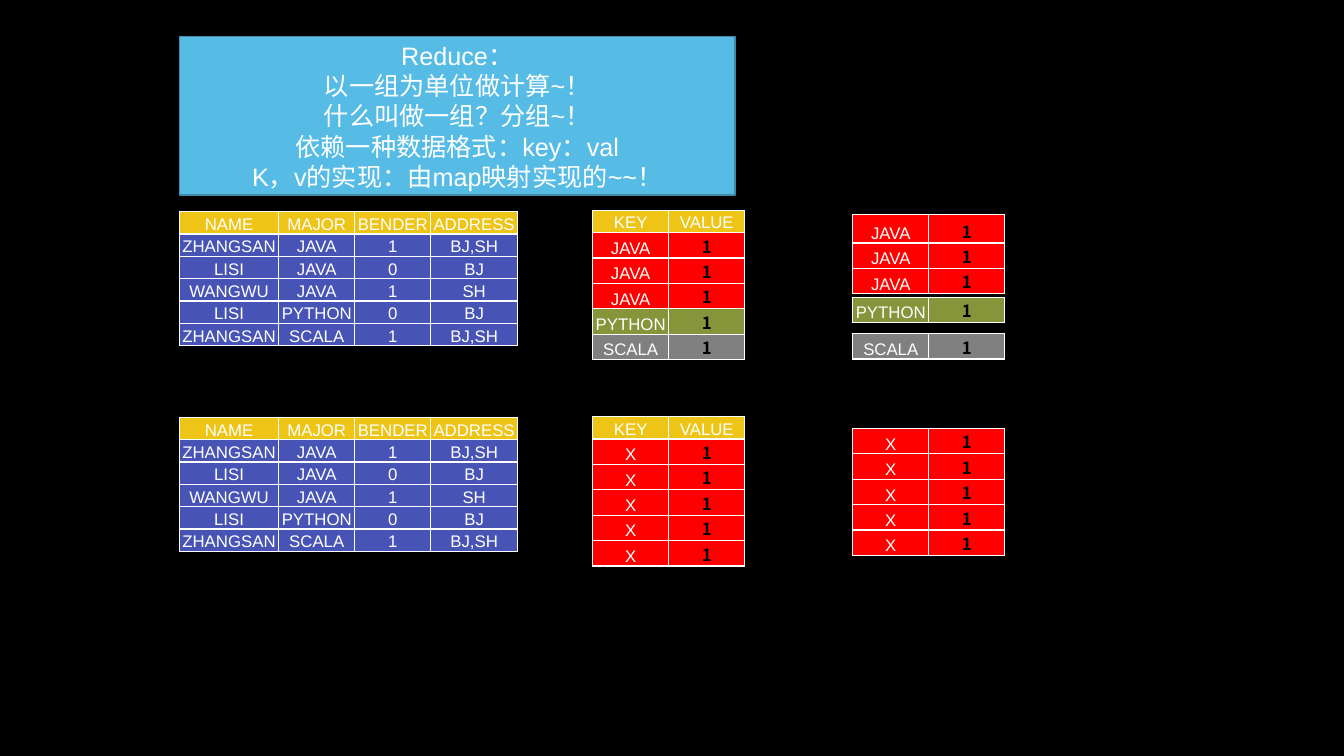
from lxml import etree
from pptx import Presentation
from pptx import util as u
from pptx.dml.color import RGBColor
from pptx.enum import shapes, text
from pptx.oxml.ns import qn

COLORS = {
    "black": "000000", "white": "FFFFFF", "sky": "57BCE5", "edge": "408BA9",
    "gold": "EEC517", "indigo": "4754B5", "red": "FF0000",
    "olive": "87953A", "gray": "808080",
}
LATIN, CJK = "Arial", "Noto Sans CJK SC"
NAME_W, CELL_W, ADDRESS_W = 7.39, 5.66, 6.45
ROW_H = 2.96
PEOPLE_X, PAIR_X, GROUP_X = 13.35, 44.1, 63.45

PEOPLE = [
    ("NAME", "MAJOR", "BENDER", "ADDRESS"),
    ("ZHANGSAN", "JAVA", "1", "BJ,SH"),
    ("LISI", "JAVA", "0", "BJ"),
    ("WANGWU", "JAVA", "1", "SH"),
    ("LISI", "PYTHON", "0", "BJ"),
    ("ZHANGSAN", "SCALA", "1", "BJ,SH"),
]
KEY_FILLS = {"JAVA": "red", "X": "red", "PYTHON": "olive", "SCALA": "gray"}
MAJORS = [row[1] for row in PEOPLE[1:]]
SINGLE_GROUP = ["X"] * len(MAJORS)
REDUCE_NOTES = [
    "Reduce：",
    "以一组为单位做计算~！",
    "什么叫做一组？分组~！",
    "依赖一种数据格式：key：val",
    "K，v的实现：由map映射实现的~~！",
]


def rgb(name):
    return RGBColor.from_string(COLORS[name])


def write(p, words, size=12, font=LATIN, color="white", bold=False):
    p.alignment = text.PP_ALIGN.CENTER
    r = p.add_run()
    r.text = words
    r.font.size, r.font.name, r.font.bold = u.Pt(size), font, bold
    r.font.color.rgb = rgb(color)
    etree.SubElement(r.font._element, qn("a:ea"), typeface=CJK)


class Board:
    """Draws styled elements on one slide, with lengths in percent of its size."""

    def __init__(self, prs):
        self.width, self.height = prs.slide_width, prs.slide_height
        self.s = prs.slides.add_slide(prs.slide_layouts[6])
        self.s.background.fill.solid()
        self.s.background.fill.fore_color.rgb = rgb("black")

    def x(self, share):
        return round(self.width * share / 100)

    def y(self, share):
        return round(self.height * share / 100)

    def box(self, left, top, width, height, lines):
        sp = self.s.shapes.add_shape(
            shapes.MSO_SHAPE.RECTANGLE,
            self.x(left), self.y(top), self.x(width), self.y(height))
        sp.shadow.inherit = False
        sp.fill.solid()
        sp.fill.fore_color.rgb = rgb("sky")
        sp.line.color.rgb = rgb("edge")
        sp.line.width = u.Pt(1)
        tf = sp.text_frame
        tf.word_wrap = True
        tf.vertical_anchor = text.MSO_ANCHOR.MIDDLE
        for i, line in enumerate(lines):
            p = tf.add_paragraph() if i else tf.paragraphs[0]
            write(p, line, size=18)

    def borders(self, cell):
        tcPr = cell._tc.get_or_add_tcPr()
        for i, side in enumerate(("lnL", "lnR", "lnT", "lnB")):
            ln = etree.Element(qn(f"a:{side}"), w=str(u.Pt(1)))
            fill = etree.SubElement(ln, qn("a:solidFill"))
            etree.SubElement(fill, qn("a:srgbClr"), val=COLORS["white"])
            tcPr.insert(i, ln)

    def cell(self, cell, words, fill, **style):
        cell.margin_left = cell.margin_right = cell.margin_top = u.Inches(0.01)
        cell.margin_bottom = 0
        cell.vertical_anchor = text.MSO_ANCHOR.BOTTOM
        cell.fill.solid()
        cell.fill.fore_color.rgb = rgb(fill)
        self.borders(cell)
        write(cell.text_frame.paragraphs[0], words, **style)

    def table(self, left, top, widths, rows, fills, first_h=ROW_H, count_style=None):
        heights = [first_h] + [ROW_H] * (len(rows) - 1)
        table = self.s.shapes.add_table(
            len(rows), len(widths), self.x(left), self.y(top),
            self.x(sum(widths)), self.y(sum(heights))).table
        table.first_row = table.horz_banding = False
        for column, width in zip(table.columns, widths):
            column.width = self.x(width)
        for i, (row, fill) in enumerate(zip(rows, fills)):
            table.rows[i].height = self.y(heights[i])
            for j, words in enumerate(row):
                style = count_style if count_style and j and words == "1" else {}
                self.cell(table.cell(i, j), words, fill, **style)

    def people(self, top):
        fills = ["gold"] + ["indigo"] * (len(PEOPLE) - 1)
        widths = (NAME_W, CELL_W, CELL_W, ADDRESS_W)
        self.table(PEOPLE_X, top, widths, PEOPLE, fills)

    def pairs(self, left, top, keys, header=False, first_h=ROW_H):
        rows = [("KEY", "VALUE")] * header + [(key, "1") for key in keys]
        fills = ["gold"] * header + [KEY_FILLS[key] for key in keys]
        count = {"font": CJK, "color": "black", "bold": True}
        self.table(left, top, (CELL_W, CELL_W), rows, fills, first_h, count)


def main():
    prs = Presentation()
    prs.slide_width, prs.slide_height = u.Inches(13.33), u.Inches(7.5)
    board = Board(prs)
    for top in (28, 55.2):
        board.people(top)
    board.pairs(GROUP_X, 28.4, ["JAVA"] * 3, first_h=3.75)
    board.pairs(GROUP_X, 56.67, SINGLE_GROUP)
    board.pairs(GROUP_X, 39.3, ["PYTHON"])
    board.pairs(GROUP_X, 44.13, ["SCALA"])
    board.pairs(PAIR_X, 27.8, MAJORS, header=True)
    board.pairs(PAIR_X, 55.1, SINGLE_GROUP, header=True)
    board.box(PEOPLE_X, 4.85, 41.34, 20.95, REDUCE_NOTES)
    prs.save("out.pptx")


if __name__ == "__main__":
    main()
